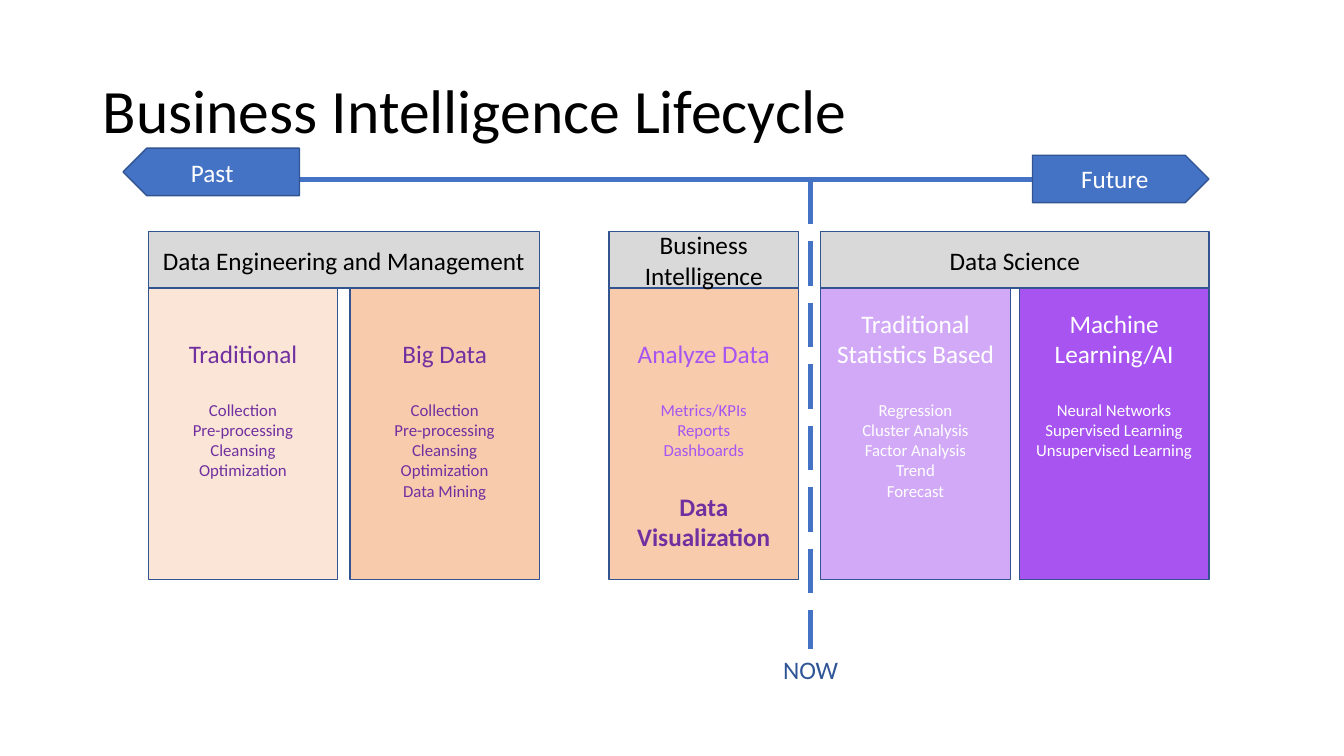
import pptx
import pptx.dml.color
import pptx.enum.dml
import pptx.enum.shapes
import pptx.enum.text
import pptx.oxml.ns
import pptx.oxml.xmlchemy
import pptx.util

Inches = pptx.util.Inches
Pt = pptx.util.Pt
SHAPES = pptx.enum.shapes.MSO_SHAPE
CENTER = pptx.enum.text.PP_ALIGN.CENTER
LEFT = pptx.enum.text.PP_ALIGN.LEFT
MIDDLE = pptx.enum.text.MSO_ANCHOR.MIDDLE
TOP = pptx.enum.text.MSO_ANCHOR.TOP

BLUE, OUTLINE, GREY = "4472C4", "325491", "D9D9D9"
PURPLE, VIOLET, WHITE, BLACK = "7030A0", "A754F1", "FFFFFF", "000000"
PANEL_WIDTH, HEADER_HEIGHT = 1.88, 0.56
BLANK_LINE = Pt(22)

# Each group: left, width, header, panels
GROUPS = [
    (1.47, 3.88, "Data Engineering and Management", [
        {"fill": "FBE5D6", "color": PURPLE, "inset": 0.5, "heading": ["Traditional"],
         "items": ["Collection", "Pre-processing", "Cleansing", "Optimization"]},
        {"fill": "F8CBAD", "color": PURPLE, "inset": 0.5, "heading": ["Big Data"],
         "items": ["Collection", "Pre-processing", "Cleansing", "Optimization",
                   "Data Mining"]},
    ]),
    (6.04, 1.88, "Business Intelligence", [
        {"fill": "F8CBAD", "color": VIOLET, "inset": 0.5, "heading": ["Analyze Data"],
         "items": ["Metrics/KPIs", "Reports", "Dashboards"],
         "closing": "Data Visualization"},
    ]),
    (8.14, 3.85, "Data Science", [
        {"fill": VIOLET, "alpha": 50, "color": WHITE, "inset": 0.2,
         "heading": ["Traditional", "Statistics Based"],
         "items": ["Regression", "Cluster Analysis", "Factor Analysis", "Trend",
                   "Forecast"]},
        {"fill": VIOLET, "color": WHITE, "inset": 0.2, "heading": ["Machine Learning/AI"],
         "items": ["Neural Networks", "Supervised Learning", "Unsupervised Learning"]},
    ]),
]


def rgb(value):
    return pptx.dml.color.RGBColor.from_string(value)


def apply_format(target, values):
    for name, value in values.items():
        setattr(target, name, value)


def line_of(text, color, size=18, bold=False, **spacing):
    return text, size, color, spacing, bold


def write(shape, lines, anchor=MIDDLE, align=CENTER, wrap=True, inset=0.05):
    """Fill a shape with lines made by line_of."""
    frame = shape.text_frame
    apply_format(frame, {"word_wrap": wrap, "vertical_anchor": anchor,
                         "margin_top": Inches(inset)})
    for index, (text, size, color, spacing, bold) in enumerate(lines):
        paragraph = frame.paragraphs[0] if index == 0 else frame.add_paragraph()
        apply_format(paragraph, {"alignment": align, **spacing})
        run = paragraph.add_run()
        run.text = text
        apply_format(run.font, {"name": "Calibri", "size": Pt(size), "bold": bold})
        run.font.color.rgb = rgb(color)


def add_box(slide, kind, box, fill, alpha=None):
    shape = slide.shapes.add_shape(kind, *map(Inches, box))
    shape.shadow.inherit = False
    shape.fill.solid()
    shape.fill.fore_color.rgb = rgb(fill)
    if alpha:
        color = shape._element.spPr.find(".//" + pptx.oxml.ns.qn("a:srgbClr"))
        opacity = pptx.oxml.xmlchemy.OxmlElement("a:alpha")
        opacity.set("val", str(alpha * 1000))
        color.append(opacity)
    shape.line.color.rgb = rgb(OUTLINE)
    shape.line.width = Pt(1)
    return shape


def add_label(slide, box, lines, **options):
    label = slide.shapes.add_textbox(*map(Inches, box))
    write(label, lines, **options)
    return label


def add_line(slide, start, end):
    connector = slide.shapes.add_connector(
        pptx.enum.shapes.MSO_CONNECTOR.STRAIGHT, *map(Inches, start + end))
    connector.line.color.rgb = rgb(BLUE)
    connector.line.width = Pt(4)
    connector._element.spPr.append(pptx.oxml.xmlchemy.OxmlElement("a:effectLst"))
    return connector


def add_title(slide, box):
    title = line_of("Business Intelligence Lifecycle", BLACK, 44, line_spacing=0.9)
    add_label(slide, box, [title], align=LEFT)


def add_time_axis(slide, left, top, width):
    """Line from past to future with an arrow block at each end."""
    arrow_width, arrow_height = 1.75, 0.47
    axis_y = top + 0.31
    add_line(slide, (left + 0.12, axis_y), (left + width - 0.76, axis_y))

    future = add_box(slide, SHAPES.PENTAGON,
                     (left + width - arrow_width, top + 0.07, arrow_width, arrow_height), BLUE)
    write(future, [line_of("Future", WHITE)])

    past = add_box(slide, SHAPES.PENTAGON, (left, top, arrow_width, arrow_height), BLUE)
    past.rotation = 180
    add_label(slide, (left + 0.57, top + 0.04, 0.63, 0.4),
              [line_of("Past", WHITE)], wrap=False)


def add_panel(slide, box, panel):
    shape = add_box(slide, SHAPES.RECTANGLE, box, panel["fill"], panel.get("alpha"))
    color = panel["color"]
    lines = [line_of(text, color) for text in panel["heading"]]
    for index, item in enumerate(panel["items"]):
        spacing = {"space_before": BLANK_LINE} if index == 0 else {}
        lines.append(line_of(item, color, 12, **spacing))
    if "closing" in panel:
        lines.append(line_of(panel["closing"], PURPLE, bold=True, space_before=BLANK_LINE))
    write(shape, lines, anchor=TOP, inset=panel["inset"])


def add_group(slide, box, header, panels):
    """Header bar above panels that reach from its left to its right edge."""
    left, top, width, height = box
    pitch = width - PANEL_WIDTH
    for index, panel in enumerate(panels):
        add_panel(slide, (left + index * pitch, top + HEADER_HEIGHT,
                          PANEL_WIDTH, height - HEADER_HEIGHT), panel)
    bar = add_box(slide, SHAPES.RECTANGLE, (left, top, width, HEADER_HEIGHT), GREY)
    write(bar, [line_of(header, BLACK)])


def add_now_marker(slide, center, top, bottom):
    """Dashed line down to the label for the present."""
    label = add_label(slide, (center - 0.38, bottom, 0.76, 0.4),
                      [line_of("NOW", "2F5597")], wrap=False)
    marker = add_line(slide, (center, top), (center, bottom))
    marker.line.dash_style = pptx.enum.dml.MSO_LINE.LONG_DASH
    marker.end_connect(label, 0)


def main():
    presentation = pptx.Presentation()
    presentation.slide_width = Inches(13.33)
    presentation.slide_height = Inches(7.5)
    slide = presentation.slides.add_slide(presentation.slide_layouts[6])

    add_title(slide, (0.92, 0.4, 11.5, 1.45))
    add_time_axis(slide, 1.22, 1.47, 10.77)
    for left, width, header, panels in GROUPS:
        add_group(slide, (left, 2.3, width, 3.45), header, panels)
    add_now_marker(slide, 8.04, 1.78, 6.44)

    presentation.save("out.pptx")


if __name__ == "__main__":
    main()
